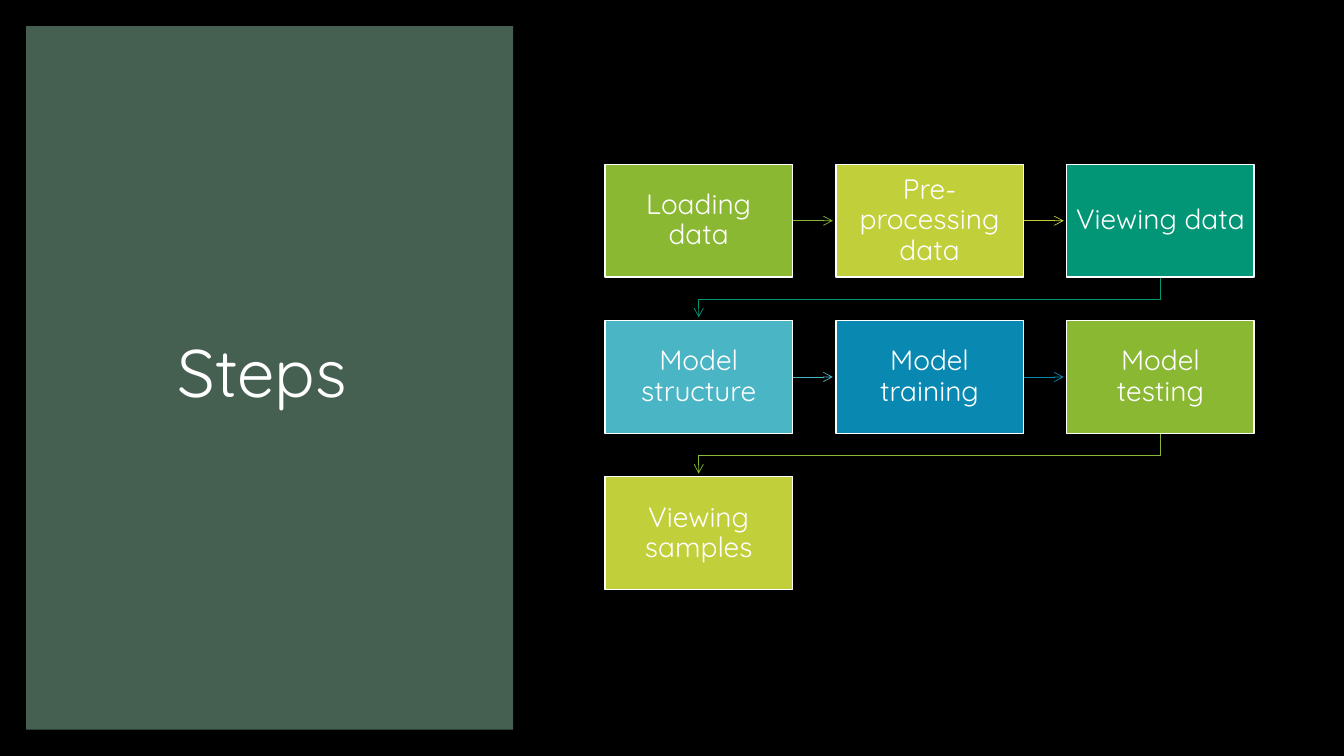
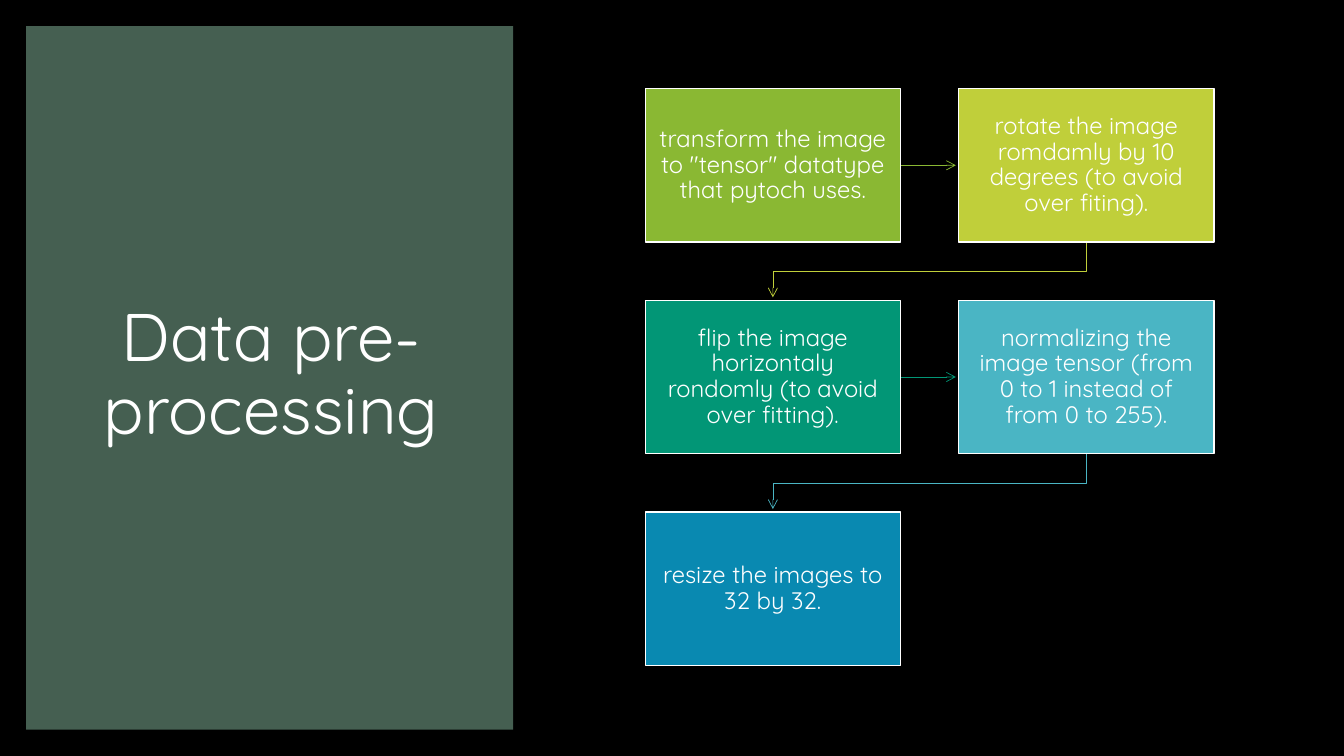
from dataclasses import dataclass
from itertools import pairwise

from pptx import Presentation
from pptx.dml.color import RGBColor
from pptx.enum.shapes import MSO_CONNECTOR, MSO_SHAPE
from pptx.enum.text import MSO_ANCHOR, MSO_AUTO_SIZE, PP_ALIGN
from pptx.oxml.ns import qn
from pptx.slide import Slide, SlideLayout
from pptx.text.text import TextFrame
from pptx.util import Inches, Pt
from lxml import etree

RECT = MSO_SHAPE.RECTANGLE
STRAIGHT, ELBOW = MSO_CONNECTOR.STRAIGHT, MSO_CONNECTOR.ELBOW
MIDDLE = MSO_ANCHOR.MIDDLE
CENTER = PP_ALIGN.CENTER
NO_FIT = MSO_AUTO_SIZE.NONE

BLACK = RGBColor(0x00, 0x00, 0x00)
WHITE = RGBColor(0xFF, 0xFF, 0xFF)
FOREST = RGBColor(0x45, 0x5F, 0x51)
GREEN = RGBColor(0x8A, 0xB8, 0x33)
LIME = RGBColor(0xC0, 0xCF, 0x3A)
TEAL = RGBColor(0x02, 0x96, 0x76)
AQUA = RGBColor(0x4A, 0xB5, 0xC4)
BLUE = RGBColor(0x09, 0x89, 0xB1)
CYCLE = (GREEN, LIME, TEAL, AQUA, BLUE)

FONT = "Quicksand"
TITLE_SIZE = 48
TIP_GAP = 0.03
BEND = 54000  # share of the elbow before its turn, in 1/100000


@dataclass(frozen=True)
class Box:
    left: float
    top: float
    width: float
    height: float

    @property
    def right(self) -> float:
        return self.left + self.width

    @property
    def bottom(self) -> float:
        return self.top + self.height

    @property
    def mid_x(self) -> float:
        return self.left + self.width / 2

    @property
    def mid_y(self) -> float:
        return self.top + self.height / 2


@dataclass(frozen=True)
class Flow:
    title: str
    first: Box
    gap: float
    cols: int
    size: int
    inset: float
    steps: tuple[str, ...]

    def cell(self, index: int) -> Box:
        row, col = divmod(index, self.cols)
        box = self.first
        return Box(box.left + col * (box.width + self.gap),
                   box.top + row * (box.height + self.gap),
                   box.width, box.height)


PANEL = Box(0.26, 0.26, 4.83, 6.98)
TITLE = Box(0.63, 0.61, 4.12, 6.24)

FLOWS = (
    Flow("Steps ", Box(6, 1.63, 1.86, 1.12), 0.43, 3, 20, 0.09,
         ("Loading data", "Pre-processing data", "Viewing data",
          "Model structure", "Model training", "Model testing",
          "Viewing samples")),
    Flow("Data pre-processing", Box(6.4, 0.88, 2.53, 1.52), 0.58, 2, 17, 0.12,
         ('transform the image to "tensor" datatype that pytoch uses.',
          "rotate the image romdamly by 10 degrees (to avoid over fiting).",
          "flip the image horizontaly rondomly (to avoid over fitting).",
          "normalizing the image tensor (from 0 to 1 instead of from 0 to 255).",
          "resize the images to 32 by 32.")),
)


def write(frame: TextFrame, text: str, size: int) -> None:
    frame.word_wrap = True
    frame.auto_size = NO_FIT
    frame.vertical_anchor = MIDDLE
    para = frame.paragraphs[0]
    para.alignment = CENTER
    para.line_spacing = 0.9
    run = para.add_run()
    run.text = text
    run.font.name = FONT
    run.font.size = Pt(size)
    run.font.color.rgb = WHITE


def add_rect(slide: Slide, box: Box, fill: RGBColor):
    shape = slide.shapes.add_shape(RECT, Inches(box.left), Inches(box.top),
                                   Inches(box.width), Inches(box.height))
    shape.shadow.inherit = False
    shape.fill.solid()
    shape.fill.fore_color.rgb = fill
    shape.line.fill.background()
    return shape


def add_base(slide: Slide, text: str) -> None:
    """Add the side panel behind the title, then set the title."""
    panel = add_rect(slide, PANEL, FOREST)
    title = slide.shapes.title
    title._element.addprevious(panel._element)
    title.left, title.top = Inches(TITLE.left), Inches(TITLE.top)
    title.width, title.height = Inches(TITLE.width), Inches(TITLE.height)
    write(title.text_frame, text, TITLE_SIZE)


def add_step(slide: Slide, box: Box, fill: RGBColor, text: str,
             flow: Flow) -> None:
    shape = add_rect(slide, box, fill)
    shape.line.color.rgb = WHITE
    shape.line.width = Pt(1)
    frame = shape.text_frame
    frame.margin_left = frame.margin_right = Inches(flow.inset)
    frame.margin_top = frame.margin_bottom = Inches(flow.inset + 0.01)
    write(frame, text, flow.size)


def add_link(slide: Slide, start: Box, end: Box, color: RGBColor) -> None:
    """Join two steps: straight in a row, or by an elbow to the next row."""
    same_row = start.top == end.top
    if same_row:
        kind = STRAIGHT
        ends = (start.right, start.mid_y, end.left - TIP_GAP, end.mid_y)
    else:
        # A quarter turn makes the elbow leave and arrive vertically.
        kind = ELBOW
        tip = end.top - TIP_GAP
        mid_x, mid_y = (start.mid_x + end.mid_x) / 2, (start.bottom + tip) / 2
        half_w = (tip - start.bottom) / 2
        half_h = (start.mid_x - end.mid_x) / 2
        ends = (mid_x - half_w, mid_y - half_h, mid_x + half_w, mid_y + half_h)
    link = slide.shapes.add_connector(kind, *map(Inches, ends))
    link.line.color.rgb = color
    link.line.width = Pt(0.5)
    props = link._element.spPr
    if not same_row:
        props.find(qn("a:xfrm")).set("rot", "5400000")
        guides = props.find(qn("a:prstGeom")).find(qn("a:avLst"))
        etree.SubElement(guides, qn("a:gd"), name="adj1", fmla=f"val {BEND}")
    etree.SubElement(props.find(qn("a:ln")), qn("a:tailEnd"), type="arrow")
    etree.SubElement(props, qn("a:effectLst"))


def add_flow(layout: SlideLayout, slide: Slide, flow: Flow) -> None:
    add_base(slide, flow.title)
    cells = [flow.cell(i) for i in range(len(flow.steps))]
    fills = [CYCLE[i % len(CYCLE)] for i in range(len(cells))]
    for (start, end), color in zip(pairwise(cells), fills):
        add_link(slide, start, end, color)
    for box, fill, text in zip(cells, fills, flow.steps):
        add_step(slide, box, fill, text, flow)


def main() -> None:
    deck = Presentation()
    deck.slide_width, deck.slide_height = Inches(13.33), Inches(7.5)
    layout = deck.slide_layouts.get_by_name("Title Only")
    layout.background.fill.solid()
    layout.background.fill.fore_color.rgb = BLACK
    for flow in FLOWS:
        add_flow(layout, deck.slides.add_slide(layout), flow)
    deck.save("out.pptx")


if __name__ == "__main__":
    main()
